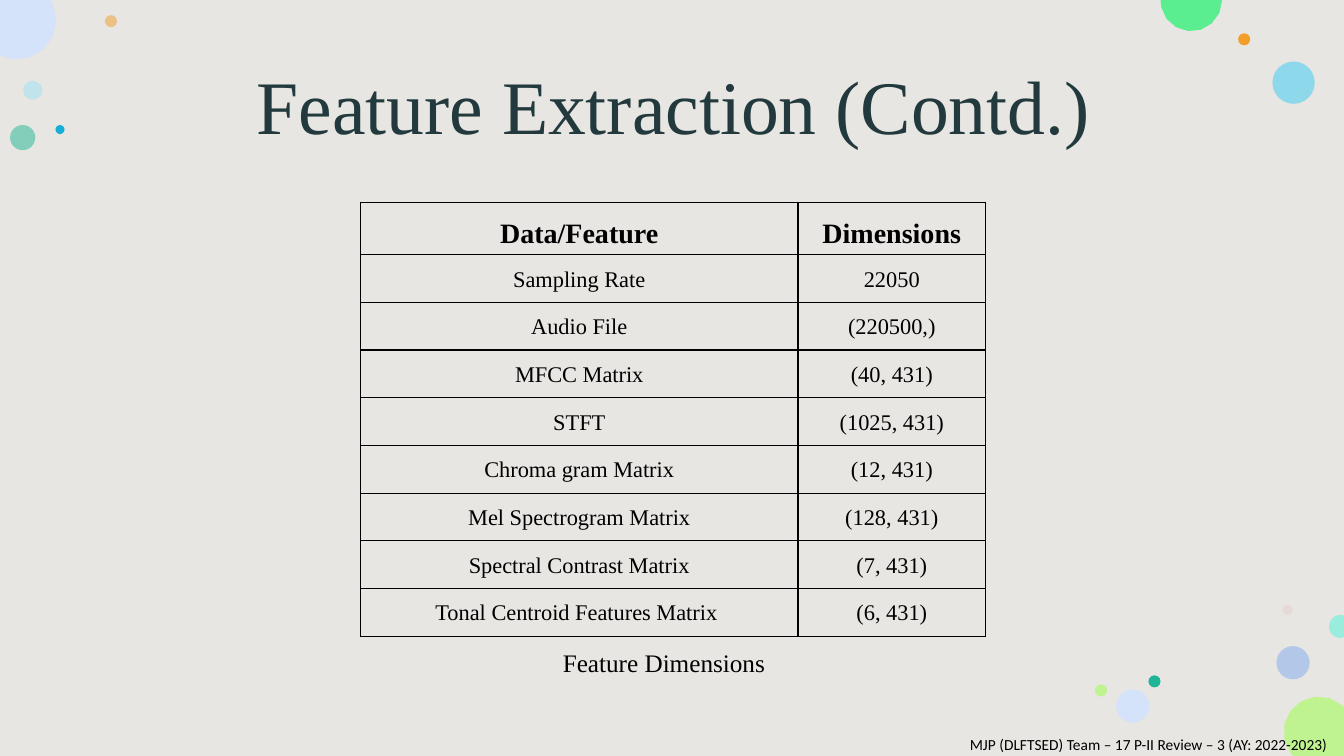
import math
import pptx
import pptx.util
import pptx.dml.color
import pptx.enum.shapes
import pptx.enum.text
import pptx.oxml
import pptx.oxml.ns

COLUMNS, ROWS = 1333, 750
UNIT = pptx.util.Inches(0.01)
COLORS = {
    "page": "E8E6E2", "title": "223A3D", "text": "000000",
    "sky": "9CE2F4", "orange": "F39E29", "blue": "7FAAF1", "teal": "20B596",
    "aqua": "6BD4EF", "rose": "E3BEBE", "pale": "D4E3FA", "lime": "BEF390",
    "green": "5BEE91", "cyan": "17AED5", "mint": "9AEDDC",
}
SERIF = "Times New Roman"
CENTER = pptx.enum.text.PP_ALIGN.CENTER
SHAPES = pptx.enum.shapes.MSO_SHAPE
FORMATS = {
    "title": {"size": 54, "name": SERIF, "color": "title"},
    "caption": {"size": 18, "name": SERIF, "color": "text"},
    "header": {"size": 20, "name": SERIF, "color": "text", "bold": True},
    "body": {"size": 16, "name": SERIF, "color": "text", "bold": False},
    "footer": {"size": 11, "name": "Calibri", "color": "text"},
}
BUBBLES = [
    ((0, 0, 116, 149), [
        (23, 80, 19, "sky", 50), (104, 15, 12, "orange", 50),
        (10, 124, 25, "teal", 50), (55, 124, 9, "cyan", 100),
        (-22, -19, 78, "pale", 100)]),
    ((1151, 0, 153, 103), [
        (111, 61, 42, "aqua", 72), (77, 33, 12, "orange", 100),
        (0, -30, 61, "green", 100)]),
    ((1086, 600, 247, 150), [
        (180, 41, 33, "blue", 50), (186, 0, 10, "rose", 28),
        (53, 70, 12, "teal", 100), (21, 84, 33, "pale", 100),
        (0, 79, 12, "lime", 100), (187, 91, 70, "lime", 100),
        (232, 10, 23, "mint", 100)]),
]
FEATURES = [
    ("Data/Feature", "Dimensions"),
    ("Sampling Rate", "22050"),
    ("Audio File", "(220500,)"),
    ("MFCC Matrix", "(40, 431)"),
    ("STFT", "(1025, 431)"),
    ("Chroma gram Matrix", "(12, 431)"),
    ("Mel Spectrogram Matrix", "(128, 431)"),
    ("Spectral Contrast Matrix", "(7, 431)"),
    ("Tonal Centroid Features Matrix ", "(6, 431)"),
]


def grid(*lengths):
    return [round(length * UNIT) for length in lengths]


def rgb(name):
    return pptx.dml.color.RGBColor.from_string(COLORS[name])


def paint(shape, color):
    shape.shadow.inherit = False
    shape.line.fill.background()
    shape.fill.solid()
    shape.fill.fore_color.rgb = rgb(color)


def write(frame, text, style, **layout):
    para = frame.paragraphs[0]
    for name, value in layout.items():
        setattr(para, name, value)
    span = para.add_run()
    span.text = text
    for name, value in FORMATS[style].items():
        if name == "color":
            span.font.color.rgb = rgb(value)
        else:
            setattr(span.font, name, pptx.util.Pt(value) if name == "size" else value)


def clipped_circle(page, left, top, size):
    radius = size / 2
    middle_x, middle_y = left + radius, top + radius
    points = []
    for degree in range(0, 360, 24):
        angle = math.radians(degree)
        points.append((middle_x + radius * math.cos(angle),
                       middle_y + radius * math.sin(angle)))
    for edge in (0, COLUMNS):
        if abs(edge - middle_x) < radius:
            reach = math.sqrt(radius ** 2 - (edge - middle_x) ** 2)
            points += [(edge, middle_y - reach), (edge, middle_y + reach)]
    for edge in (0, ROWS):
        if abs(edge - middle_y) < radius:
            reach = math.sqrt(radius ** 2 - (edge - middle_y) ** 2)
            points += [(middle_x - reach, edge), (middle_x + reach, edge)]
    points += [(x, y) for x in (0, COLUMNS) for y in (0, ROWS)
               if math.hypot(x - middle_x, y - middle_y) < radius]
    outline = sorted(
        ((x, y) for x, y in points if 0 <= x <= COLUMNS and 0 <= y <= ROWS),
        key=lambda point: math.atan2(point[1] - middle_y, point[0] - middle_x))
    corners = [grid(*point) for point in outline]
    builder = page.shapes.build_freeform(*corners[0])
    builder.add_line_segments(corners[1:], close=True)
    return builder.convert_to_shape()


def add_backdrop(page, box):
    paint(page.shapes.add_shape(SHAPES.RECTANGLE, *grid(*box)), "page")


def add_bubbles(page, box, bubbles):
    for across, down, size, color, opacity in bubbles:
        left, top = box[0] + across, box[1] + down
        inside = left >= 0 and top >= 0 and left + size <= COLUMNS and top + size <= ROWS
        if inside:
            bubble = page.shapes.add_shape(SHAPES.OVAL, *grid(left, top, size, size))
        else:
            bubble = clipped_circle(page, left, top, size)
        paint(bubble, color)
        if opacity < 100:
            tint = bubble.fill._xPr.find(".//" + pptx.oxml.ns.qn("a:srgbClr"))
            tint.append(pptx.oxml.parse_xml(
                f'<a:alpha {pptx.oxml.ns.nsdecls("a")} val="{opacity * 1000}"/>'))


def add_title(page, box, text):
    title = page.shapes.title
    title.left, title.top, title.width, title.height = grid(*box)
    title.text_frame.vertical_anchor = pptx.enum.text.MSO_ANCHOR.MIDDLE
    write(title.text_frame, text, "title", alignment=CENTER, line_spacing=0.9)


def add_label(page, box, text, style, **layout):
    label = page.shapes.add_textbox(*grid(*box))
    label.text_frame.word_wrap = True
    write(label.text_frame, text, style, **layout)


def add_borders(cell):
    properties = cell._tc.get_or_add_tcPr()
    for position, side in enumerate("LRTB"):
        properties.insert(position, pptx.oxml.parse_xml(
            f'<a:ln{side} {pptx.oxml.ns.nsdecls("a")} w="12700"><a:solidFill>'
            f'<a:srgbClr val="{COLORS["text"]}"/></a:solidFill></a:ln{side}>'))


def add_features(page, box, features):
    width, height = box[2:]
    header_height = height * 0.12
    body_height = (height - header_height) / (len(features) - 1)
    table = page.shapes.add_table(len(features), 2, *grid(*box)).table
    table.first_row = table.horz_banding = False
    for column, share in zip(table.columns, (0.7, 0.3)):
        column.width = grid(width * share)[0]
    for index, values in enumerate(features):
        table.rows[index].height = grid(body_height if index else header_height)[0]
        for cell, value in zip(table.rows[index].cells, values):
            cell.margin_left = cell.margin_right = 7 * UNIT
            cell.margin_top = cell.margin_bottom = 0
            cell.fill.background()
            add_borders(cell)
            write(cell.text_frame, value, "body" if index else "header",
                  alignment=CENTER, line_spacing=1.5, space_after=pptx.util.Pt(10))


def main():
    deck = pptx.Presentation()
    deck.slide_width, deck.slide_height = grid(COLUMNS, ROWS)
    page = deck.slides.add_slide(deck.slide_layouts[5])
    add_backdrop(page, (0, 0, COLUMNS, ROWS))
    for box, bubbles in BUBBLES:
        add_bubbles(page, box, bubbles)
    add_title(page, (85, 37, 1166, 145), "Feature Extraction (Contd.)")
    title = page.shapes.title._element
    title.getparent().append(title)
    add_label(page, (489, 637, 339, 40), "Feature Dimensions", "caption", alignment=CENTER)
    add_features(page, (357.5, 201, 620, 430.5), FEATURES)
    add_label(page, (952, 724, 381, 29),
              "MJP (DLFTSED) Team – 17 P-II Review – 3 (AY: 2022-2023)", "footer")
    deck.save("out.pptx")


if __name__ == "__main__":
    main()
